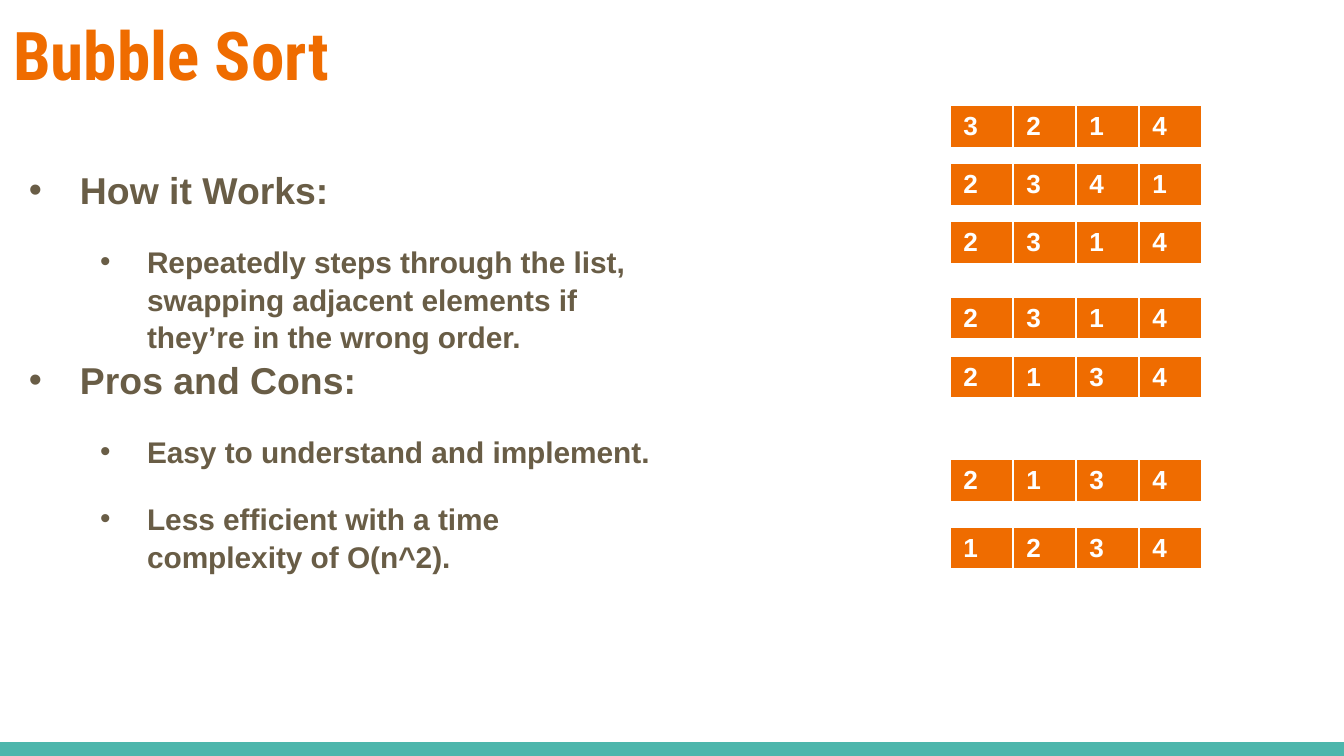
from lxml.etree import SubElement as Sub
from pptx import Presentation
from pptx.dml.color import RGBColor
from pptx.enum.shapes import MSO_SHAPE as Kind
from pptx.enum.text import MSO_ANCHOR as Anchor, MSO_AUTO_SIZE as Fit, PP_ALIGN as Align
from pptx.oxml.ns import qn
from pptx.util import Pt

PX = 6804
ORANGE, TEAL, BROWN, WHITE = "EF6C00", "4DB6AC", "695D46", "FFFFFF"


def paint(fill, color):
    fill.solid()
    fill.fore_color.rgb = RGBColor.from_string(color)


def style(para, face, size, color):
    for run in para.runs:
        run.font.name = face
        run.font.size = Pt(size)
        run.font.bold = True
        paint(run.font.fill, color)


deck = Presentation()
deck.slide_width, deck.slide_height = 1344 * PX, 756 * PX
slide = deck.slides.add_slide(deck.slide_layouts[5])
shapes = slide.shapes

bar = shapes.add_shape(Kind.RECTANGLE, 0, 742 * PX, 1344 * PX, 14 * PX)
bar.shadow.inherit = False
paint(bar.fill, TEAL)
bar.line.fill.background()

title = shapes.title
title.left, title.top, title.width, title.height = 0, 0, 1253 * PX, 103 * PX
body = shapes.add_textbox(0, 152 * PX, 672 * PX, 564 * PX)
for box in (title, body):
    frame = box.text_frame
    frame.word_wrap = True
    frame.auto_size = Fit.NONE
    frame.vertical_anchor = Anchor.TOP
    frame.margin_left = frame.margin_right = 13 * PX
    frame.margin_top = frame.margin_bottom = 13 * PX

title.text_frame.text = "Bubble Sort"
head = title.text_frame.paragraphs[0]
head.alignment = Align.LEFT
style(head, "Roboto Condensed", 36, ORANGE)

points = [
    (0, "How it Works:"),
    (1, "Repeatedly steps through the list, swapping adjacent elements if they’re in the wrong order."),
    (0, "Pros and Cons:"),
    (1, "Easy to understand and implement."),
    (1, "Less efficient with a time complexity of O(n^2)."),
]
levels = [(20, 0, 67, 51), (16, 16, 134, 47)]
body.text_frame.text = "\n".join(text for _, text in points)
for para, (level, _) in zip(body.text_frame.paragraphs, points):
    size, gap, left, hang = levels[level]
    para.level = level
    para.line_spacing = 1.05
    para.space_before = Pt(gap)
    style(para, "Arial", size, BROWN)
    props = para._p.get_or_add_pPr()
    props.set("marL", str(left * PX))
    props.set("indent", str(-hang * PX))
    Sub(Sub(props, qn("a:buClr")), qn("a:srgbClr"), val=BROWN)
    Sub(props, qn("a:buFont"), typeface="Arial")
    Sub(props, qn("a:buChar"), char="•")

steps = [(105, "3214"), (163, "2341"), (221, "2314"), (297, "2314"),
         (356, "2134"), (459, "2134"), (527, "1234")]
for top, digits in steps:
    table = shapes.add_table(1, 4, 950 * PX, top * PX, 252 * PX, 44 * PX).table
    for cell, digit in zip(table.rows[0].cells, digits):
        cell.text = digit
        style(cell.text_frame.paragraphs[0], "Arial", 14, WHITE)
        props = cell._tc.get_or_add_tcPr()
        for side, width in (("L", 1), ("R", 1), ("T", 1), ("B", 3)):
            line = Sub(props, qn("a:ln" + side), w=str(Pt(width)))
            Sub(Sub(line, qn("a:solidFill")), qn("a:srgbClr"), val=WHITE)
        paint(cell.fill, ORANGE)

deck.save("out.pptx")
